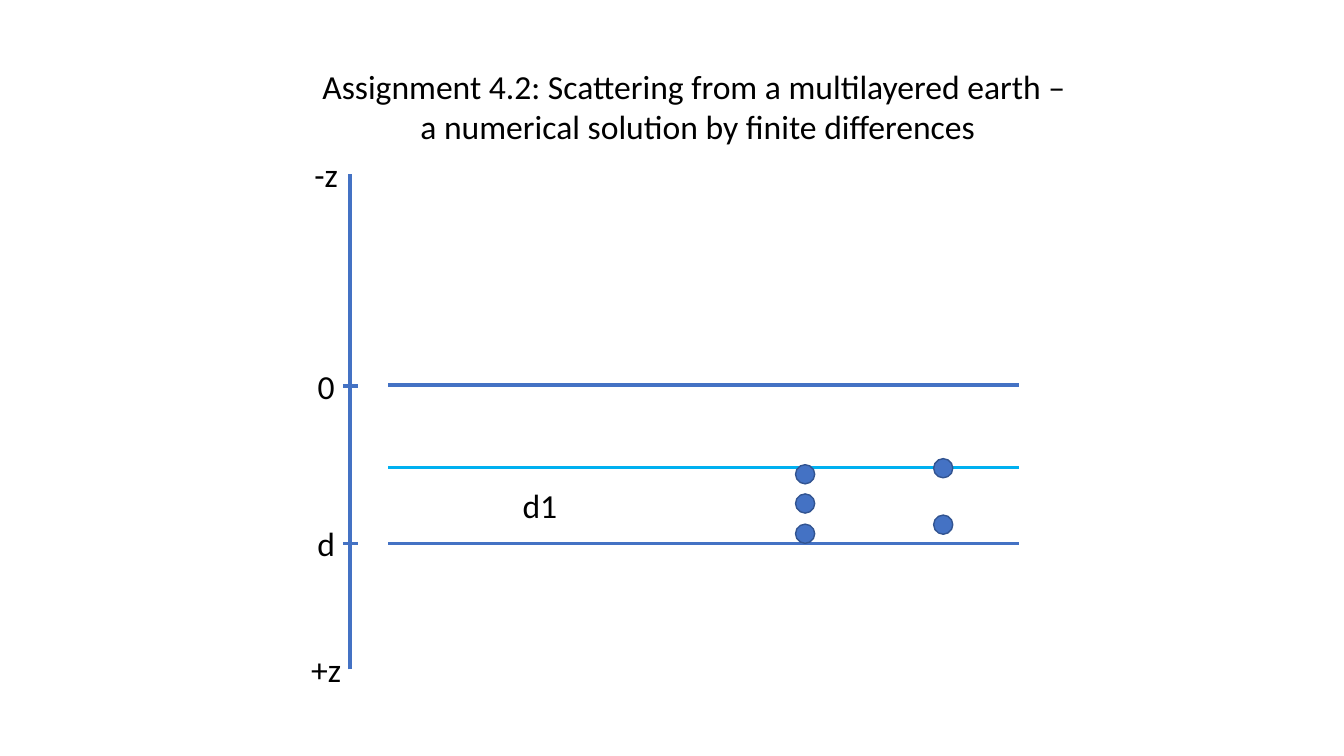
"""Build the slide on scattering from a layered earth."""
import pptx
import pptx.dml.color
import pptx.enum.shapes
import pptx.enum.text
import pptx.oxml
import pptx.oxml.ns
import pptx.util

PX = 9144
COLORS = {"ink": "000000", "blue": "4472C4", "cyan": "00B0F0", "rim": "325491"}


def px(*sizes):
    return [size * PX for size in sizes]


def color(name):
    return pptx.dml.color.RGBColor.from_string(COLORS[name])


def style(frame, text, anchor):
    frame.text = text
    frame.word_wrap = True
    frame.auto_size = pptx.enum.text.MSO_AUTO_SIZE.NONE
    frame.vertical_anchor = anchor
    for par in frame.paragraphs:
        par.alignment = pptx.enum.text.PP_ALIGN.CENTER
        for run in par.runs:
            run.font.name = "Calibri"
            run.font.size = pptx.util.Pt(24)
            run.font.color.rgb = color("ink")


def add_title(slide, text):
    title = slide.shapes.title
    title.left, title.top, title.width, title.height = px(255, 60, 874, 91)
    style(title.text_frame, text, pptx.enum.text.MSO_ANCHOR.TOP)


def add_label(slide, text, left, top):
    box = slide.shapes.add_textbox(*px(left, top, 63, 50))
    style(box.text_frame, text, pptx.enum.text.MSO_ANCHOR.TOP)


def add_line(slide, start, end, name="blue"):
    line = slide.shapes.add_connector(
        pptx.enum.shapes.MSO_CONNECTOR.STRAIGHT, *px(*start, *end))
    line.line.color.rgb = color(name)
    line.line.width = pptx.util.Pt(2.5)
    props = line._element.spPr
    props.append(pptx.oxml.parse_xml(
        "<a:effectLst %s/>" % pptx.oxml.ns.nsdecls("a")))


def add_dot(slide, left, top):
    dot = slide.shapes.add_shape(
        pptx.enum.shapes.MSO_SHAPE.OVAL, *px(left, top, 19, 19))
    dot.shadow.inherit = False
    dot.fill.solid()
    dot.fill.fore_color.rgb = color("blue")
    dot.line.color.rgb = color("rim")
    dot.line.width = pptx.util.Pt(1)


def main():
    deck = pptx.Presentation()
    deck.slide_width, deck.slide_height = px(1333, 750)
    slide = deck.slides.add_slide(deck.slide_layouts[5])
    add_title(slide, "Assignment 4.2: Scattering from a multilayered earth – \n"
                     "a numerical solution by finite differences")

    for level, name in ((382, "blue"), (464, "cyan"), (539, "blue")):
        add_line(slide, (385, level), (1011, level), name)

    add_line(slide, (347, 664), (347, 173))
    for level in (383, 539):
        add_line(slide, (340, level), (355, level))

    for text, top in (("-z", 148), ("0", 358), ("d", 514), ("+z", 639)):
        add_label(slide, text, 292, top)
    add_label(slide, "d1", 504, 476)

    for left, tops in ((789, (461, 490, 520)), (926, (455, 511))):
        for top in tops:
            add_dot(slide, left, top)

    deck.save("out.pptx")


if __name__ == "__main__":
    main()
